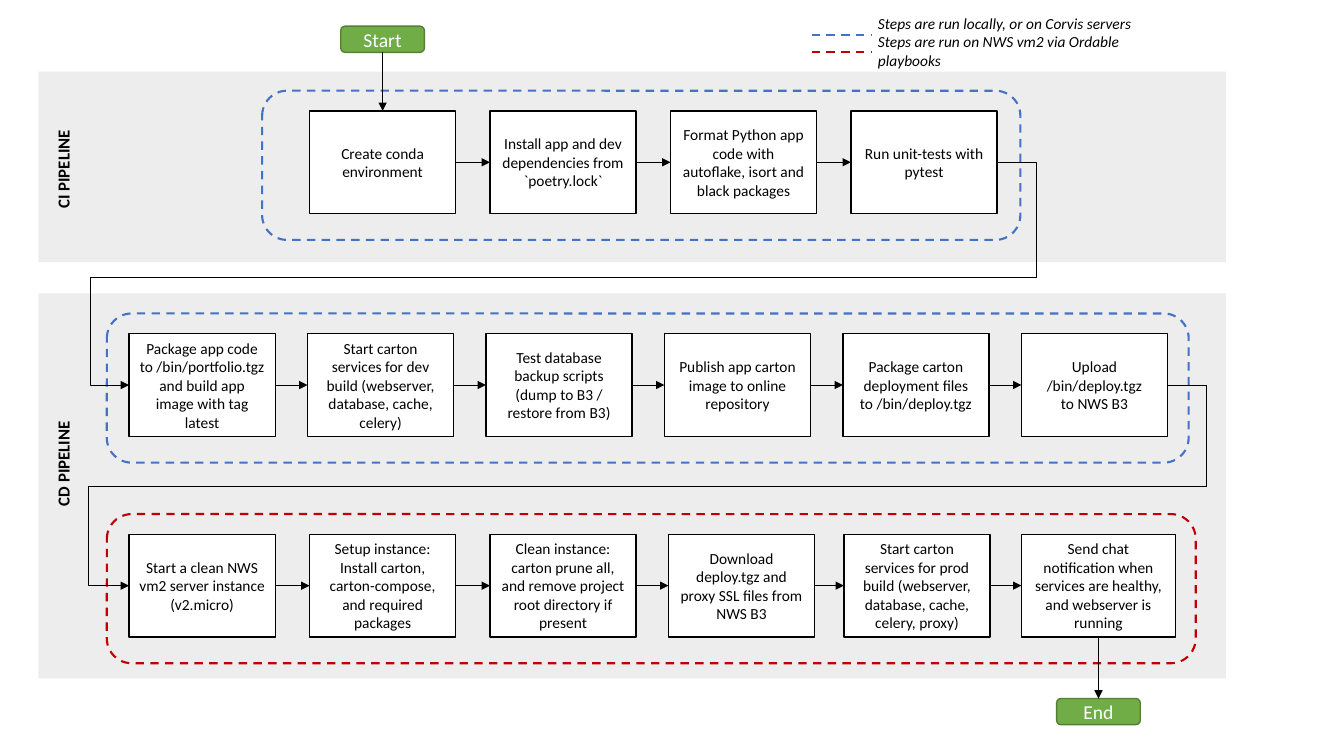
"""Build a slide showing a CI and CD pipeline as three rows of linked steps."""
from lxml.etree import SubElement
from pptx import Presentation
from pptx.dml.color import RGBColor
from pptx.enum.dml import MSO_LINE
from pptx.enum.shapes import MSO_CONNECTOR as Link, MSO_SHAPE as Shape
from pptx.enum.text import MSO_ANCHOR as Anchor, PP_ALIGN as Align
from pptx.oxml.ns import qn
from pptx.util import Inches, Pt

BLACK, WHITE, GREY = "000000", "FFFFFF", "EDEDED"
BLUE, RED, GREEN, DARK_GREEN = "4472C4", "C00000", "70AD47", "538035"
STEP_WIDTH, STEP_HEIGHT, LAST_WIDTH = 1.45, 1.02, 1.53
FRAME_HEIGHT, FRAME_MARGIN = 1.48, 0.2
TOP, LEFT, BOTTOM, RIGHT = range(4)

BANDS = [("CI PIPELINE", 0.71, 1.89, 1.68), ("CD PIPELINE", 2.91, 3.82, 4.6)]
ROWS = [
    {
        "top": 1.1, "lefts": [3.07 + 1.79 * column for column in range(4)],
        "frame": (2.6, 7.52, BLUE),
        "steps": [
            "Create conda environment",
            "Install app and dev dependencies from `poetry.lock`",
            "Format Python app code with autoflake, isort and black packages",
            "Run unit-tests with pytest",
        ],
    },
    {
        "top": 3.31, "lefts": [1.28 + 1.77 * column for column in range(6)],
        "frame": (1.06, 10.73, BLUE),
        "steps": [
            "Package app code to /bin/portfolio.tgz and build app image with tag latest",
            "Start carton services for dev build (webserver, database, cache, celery)",
            "Test database backup scripts (dump to B3 / restore from B3)",
            "Publish app carton image to online repository",
            "Package carton deployment files to /bin/deploy.tgz",
            "Upload /bin/deploy.tgz\nto NWS B3",
        ],
    },
    {
        "top": 5.3, "lefts": [1.28, 3.07, 4.86, 6.63, 8.37, 10.13],
        "frame": (1.06, 10.8, RED),
        "steps": [
            "Start a clean NWS vm2 server instance (v2.micro)",
            "Setup instance: Install carton, carton-compose, and required packages",
            "Clean instance: carton prune all, and remove project root directory if present",
            "Download deploy.tgz and proxy SSL files from NWS B3",
            "Start carton services for prod build (webserver, database, cache, celery, proxy)",
            "Send chat notification when services are healthy, and webserver is running",
        ],
    },
]
RETURNS = [(10.28, 2.75, 0.89), (11.96, 4.82, 0.88)]
LEGEND = [
    ("Steps are run locally, or on Corvis servers", BLUE, 0.35),
    ("Steps are run on NWS vm2 via Ordable playbooks", RED, 0.52),
]

deck = Presentation()
deck.slide_width, deck.slide_height = Inches(13.33), Inches(7.5)
page = deck.slides.add_slide(deck.slide_layouts[6])


def color(code):
    return RGBColor.from_string(code)


def stroke(item, code, width, dashed=False):
    item.line.color.rgb = color(code)
    item.line.width = Pt(width)
    if dashed:
        item.line.dash_style = MSO_LINE.DASH


def write(item, text, size, code=BLACK, align=Align.CENTER, bold=False, italic=False):
    frame = item.text_frame
    frame.word_wrap = True
    frame.vertical_anchor = Anchor.MIDDLE
    frame.text = text
    for para in frame.paragraphs:
        para.alignment = align
        para.font.name, para.font.size = "Calibri", Pt(size)
        para.font.bold, para.font.italic = bold, italic
        para.font.color.rgb = color(code)


def add_box(kind, place, fill=None, line=None, width=1, dashed=False):
    box = page.shapes.add_shape(kind, *map(Inches, place))
    box.shadow.inherit = False
    if fill:
        box.fill.solid()
        box.fill.fore_color.rgb = color(fill)
    else:
        box.fill.background()
    if line:
        stroke(box, line, width, dashed)
    else:
        box.line.fill.background()
    return box


def add_text(place, text, size, **style):
    box = page.shapes.add_textbox(*map(Inches, place))
    write(box, text, size, **style)
    return box


def add_line(kind, code, width, ends=(0, 0, 0, 0), dashed=False):
    line = page.shapes.add_connector(kind, *map(Inches, ends))
    stroke(line, code, width, dashed)
    SubElement(line._element.spPr, qn("a:effectLst"))
    return line


def add_arrow(first, second, sites=(RIGHT, LEFT), kind=Link.STRAIGHT):
    arrow = add_line(kind, BLACK, 0.5)
    arrow.begin_connect(first, sites[0])
    arrow.end_connect(second, sites[1])
    SubElement(arrow.line._get_or_add_ln(), qn("a:tailEnd"), type="triangle")
    return arrow


def add_return(first, second, right, middle, left):
    arrow = add_arrow(first, second, kind=Link.ELBOW)
    start, top = arrow.begin_x, arrow.begin_y
    shares = [
        (start - Inches(right)) / arrow.width,
        (Inches(middle) - top) / arrow.height,
        (start - Inches(left)) / arrow.width,
    ]
    shape = arrow._element.spPr.find(qn("a:prstGeom"))
    shape.set("prst", "bentConnector5")
    guides = shape.find(qn("a:avLst"))
    for number, share in enumerate(shares, 1):
        SubElement(guides, qn("a:gd"), name=f"adj{number}", fmla=f"val {round(share * 100000)}")


def add_end(text, left, top):
    pill = add_box(Shape.ROUNDED_RECTANGLE, (left, top, 0.83, 0.26), GREEN, DARK_GREEN)
    write(pill, text, 14, WHITE)
    return pill


for name, top, height, center in BANDS:
    add_box(Shape.RECTANGLE, (0.38, top, 11.78, height), GREY)
    label = add_text((0.04, center - 0.15, 1.17, 0.3), name, 12, bold=True)
    label.rotation = 270

step_rows = []
for row in ROWS:
    left, width, frame_color = row["frame"]
    frame_place = (left, row["top"] - FRAME_MARGIN, width, FRAME_HEIGHT)
    add_box(Shape.ROUNDED_RECTANGLE, frame_place, None, frame_color, 1.5, True)
    boxes = []
    for left, text in zip(row["lefts"], row["steps"]):
        is_final = row is ROWS[-1] and text == row["steps"][-1]
        width = LAST_WIDTH if is_final else STEP_WIDTH
        box = add_box(Shape.RECTANGLE, (left, row["top"], width, STEP_HEIGHT), WHITE, BLACK)
        write(box, text, 11)
        boxes.append(box)
    for first, second in zip(boxes, boxes[1:]):
        add_arrow(first, second)
    step_rows.append(boxes)

for upper, lower, turns in zip(step_rows, step_rows[1:], RETURNS):
    add_return(upper[-1], lower[0], *turns)

add_arrow(add_end("Start", 3.38, 0.26), step_rows[0][0], (BOTTOM, TOP))
add_arrow(step_rows[-1][-1], add_end("End", 10.48, 6.93), (BOTTOM, TOP))

for text, code, height in LEGEND:
    add_line(Link.STRAIGHT, code, 1.5, (8.05, height, 8.64, height), True)
legend_text = "\n".join(text for text, code, height in LEGEND)
add_text((8.61, 0.21, 3.17, 0.41), legend_text, 11, align=Align.LEFT, italic=True)

deck.save("out.pptx")
